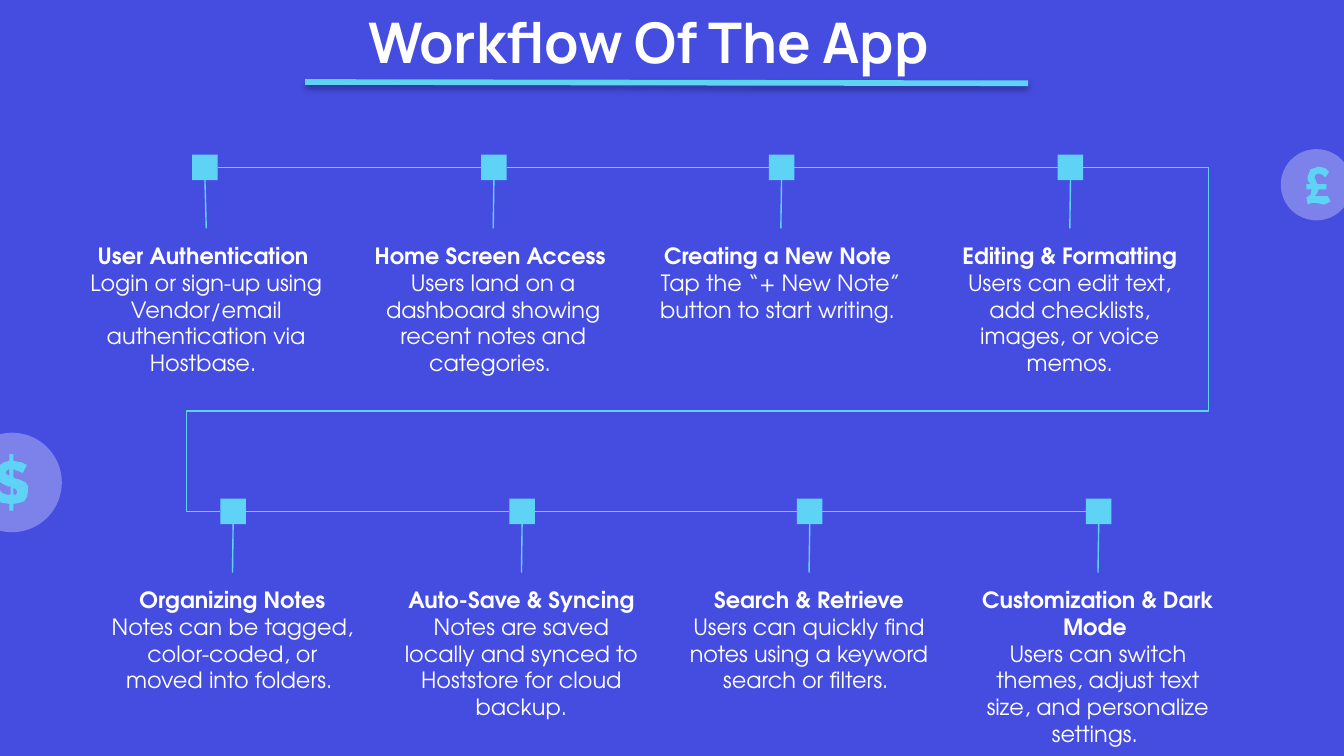
from dataclasses import dataclass

from lxml import etree
from pptx import Presentation
from pptx.dml.color import RGBColor
from pptx.enum.shapes import MSO_CONNECTOR, MSO_SHAPE
from pptx.enum.text import MSO_ANCHOR, PP_ALIGN
from pptx.oxml.ns import qn
from pptx.util import Emu, Pt

PX = 9144
BLUE, CYAN, WHITE = "454DE1", "5FD3F6", "FFFFFF"
RECT, OVAL = MSO_SHAPE.RECTANGLE, MSO_SHAPE.OVAL
STRAIGHT, ELBOW = MSO_CONNECTOR.STRAIGHT, MSO_CONNECTOR.ELBOW
LEFT, CENTER = PP_ALIGN.LEFT, PP_ALIGN.CENTER
TOP = MSO_ANCHOR.TOP
SIDE_TOP, SIDE_LEFT, SIDE_BOTTOM, SIDE_RIGHT = range(4)
MARKER, ROW_SPAN, STEM = 19, 644, 36
BODY_FONT = {"name": "TeX Gyre Adventor", "size": Pt(12)}
TITLE_FONT = {"name": "Manrope", "size": Pt(30)}


@dataclass
class Step:
    heading: str
    body: str
    width: int = 200
    dx: int = -91
    split: bool = False


@dataclass
class Row:
    x: int
    y: int
    steps: list[Step]


@dataclass
class Coin:
    x: int
    y: int
    size: int
    contours: list[list[tuple[int, int]]]


ROWS = [
    Row(143, 115, [
        Step("User Authentication ", " Login or sign-up using Vendor/email authentication via Hostbase. ", 213, -96),
        Step("Home Screen Access ", " Users land on a dashboard showing recent notes and categories. "),
        Step("Creating a New Note ", " Tap the “+ New Note” button to start writing. "),
        Step("Editing & Formatting ", "Users can edit text, add checklists, images, or voice memos."),
    ]),
    Row(164, 371, [
        Step("Organizing Notes", " Notes can be tagged, color-coded, or moved into folders. "),
        Step("Auto-Save & Syncing ", "Notes are saved locally and synced to Hoststore for cloud backup."),
        Step("Search & Retrieve", " Users can quickly find notes using a keyword search or filters. "),
        Step("Customization & Dark Mode ", "Users can switch themes, adjust text size, and personalize settings. ", split=True),
    ]),
]

POUND = [[
    (981, 124), (978, 125), (975, 126), (974, 129), (973, 131), (973, 134), (975, 137),
    (972, 137), (972, 141), (976, 141), (975, 145), (972, 147), (973, 152), (976, 151),
    (980, 151), (984, 152), (986, 152), (988, 151), (990, 150), (988, 146), (986, 146),
    (983, 146), (980, 146), (978, 146), (980, 144), (981, 141), (987, 141), (987, 137),
    (980, 137), (979, 134), (978, 132), (979, 130), (981, 129), (984, 130), (986, 132),
    (989, 128), (986, 125),
]]
DOLLAR = [
    [(7, 349), (7, 354), (5, 353), (4, 352), (5, 350)],
    [(10, 363), (12, 364), (13, 366), (12, 368), (10, 368)],
    [
        (7, 338), (7, 343), (3, 344), (0, 346), (-2, 349), (-3, 353), (-3, 356), (-1, 358),
        (2, 360), (6, 362), (8, 362), (8, 368), (5, 368), (2, 367), (0, 365), (-1, 365),
        (-4, 371), (1, 374), (7, 375), (7, 380), (10, 380), (10, 375), (15, 374), (18, 373),
        (20, 370), (21, 365), (21, 362), (19, 359), (15, 357), (11, 356), (10, 355), (10, 349),
        (12, 350), (15, 351), (17, 352), (20, 346), (16, 344), (10, 343), (10, 338),
    ],
]
COINS = [Coin(953, 111, 53, POUND), Coin(-28, 322, 74, DOLLAR)]


def rgb(color: str) -> RGBColor:
    return RGBColor.from_string(color)


def paint(s, color: str) -> None:
    s.shadow.inherit = False
    s.fill.solid()
    s.fill.fore_color.rgb = rgb(color)
    s.line.fill.background()


def add_preset(shapes, kind, x: int, y: int, size: int, color: str):
    s = shapes.add_shape(kind, x * PX, y * PX, size * PX, size * PX)
    paint(s, color)
    return s


def add_line(shapes, kind, x1: int, y1: int, x2: int, y2: int, weight: float):
    c = shapes.add_connector(kind, x1 * PX, y1 * PX, x2 * PX, y2 * PX)
    c.line.color.rgb = rgb(CYAN)
    c.line.width = Pt(weight)
    effects = etree.SubElement(c._element.spPr, qn("a:effectLst"))
    return c, effects


def join(shapes, kind, start, start_side: int, end, end_side: int):
    c, _ = add_line(shapes, kind, 0, 0, 0, 0, 0.75)
    c.begin_connect(start, start_side)
    c.end_connect(end, end_side)
    return c


def add_run(p, text: str, font: dict, bold: bool) -> None:
    r = p.add_run()
    r.text = text
    for name, value in {**font, "bold": bold}.items():
        setattr(r.font, name, value)
    r.font.color.rgb = rgb(WHITE)


def add_text(shapes, x: int, y: int, w: int, h: int, align):
    s = shapes.add_textbox(x * PX, y * PX, w * PX, h * PX)
    tf = s.text_frame
    margins = {f"margin_{side}": Emu(10 * PX) for side in ("left", "top", "right", "bottom")}
    for name, value in {"word_wrap": True, "vertical_anchor": TOP, **margins}.items():
        setattr(tf, name, value)
    tf.paragraphs[0].alignment = align
    return s


def add_step(shapes, step: Step, x: int, y: int):
    marker = add_preset(shapes, RECT, x, y, MARKER, CYAN)
    s = add_text(shapes, x + step.dx, y + MARKER + STEM, step.width, 88, CENTER)
    p = s.text_frame.paragraphs[0]
    add_run(p, step.heading, BODY_FONT, True)
    if step.split:
        p = s.text_frame.add_paragraph()
        p.alignment = CENTER
    add_run(p, step.body, BODY_FONT, False)
    join(shapes, STRAIGHT, marker, SIDE_BOTTOM, s, SIDE_TOP)
    return marker


def add_row(shapes, row: Row) -> list:
    gaps = len(row.steps) - 1
    markers = [add_step(shapes, step, row.x + round(i * ROW_SPAN / gaps), row.y) for i, step in enumerate(row.steps)]
    for a, b in zip(markers, markers[1:]):
        join(shapes, STRAIGHT, a, SIDE_RIGHT, b, SIDE_LEFT)
    return markers


def add_return_path(shapes, start, end) -> None:
    c = join(shapes, ELBOW, start, SIDE_RIGHT, end, SIDE_LEFT)
    geom = c._element.spPr.find(qn("a:prstGeom"))
    geom.set("prst", "bentConnector5")
    guides = geom.find(qn("a:avLst"))
    for i, value in enumerate((-14500, 70900, 103900), 1):
        etree.SubElement(guides, qn("a:gd"), name=f"adj{i}", fmla=f"val {value}")


def add_coin(shapes, coin: Coin) -> None:
    disc = add_preset(shapes, OVAL, coin.x, coin.y, coin.size, WHITE)
    color = disc._element.spPr.find(f".//{qn('a:srgbClr')}")
    etree.SubElement(color, qn("a:alpha"), val="30000")
    first, *others = coin.contours
    builder = shapes.build_freeform(*first[0], scale=PX)
    builder.add_line_segments(first[1:], close=True)
    for contour in others:
        builder.move_to(*contour[0])
        builder.add_line_segments(contour[1:], close=True)
    paint(builder.convert_to_shape(), CYAN)


def add_title(shapes) -> None:
    s = add_text(shapes, 264, -4, 843, 63, LEFT)
    add_run(s.text_frame.paragraphs[0], "Workflow Of The App", TITLE_FONT, True)
    _, effects = add_line(shapes, STRAIGHT, 227, 61, 765, 62, 3)
    shadow = etree.SubElement(effects, qn("a:outerShdw"), blurRad="40000", dist="23000", dir="5400000", rotWithShape="0")
    color = etree.SubElement(shadow, qn("a:srgbClr"), val="000000")
    etree.SubElement(color, qn("a:alpha"), val="35000")


def main() -> None:
    prs = Presentation()
    prs.slide_width = 1000 * PX
    prs.slide_height = prs.slide_width * 9 // 16
    slide = prs.slides.add_slide(prs.slide_layouts[6])
    slide.background.fill.solid()
    slide.background.fill.fore_color.rgb = rgb(BLUE)
    shapes = slide.shapes
    add_title(shapes)
    upper, lower = [add_row(shapes, row) for row in ROWS]
    add_return_path(shapes, upper[-1], lower[0])
    for coin in COINS:
        add_coin(shapes, coin)
    prs.save("out.pptx")


if __name__ == "__main__":
    main()
